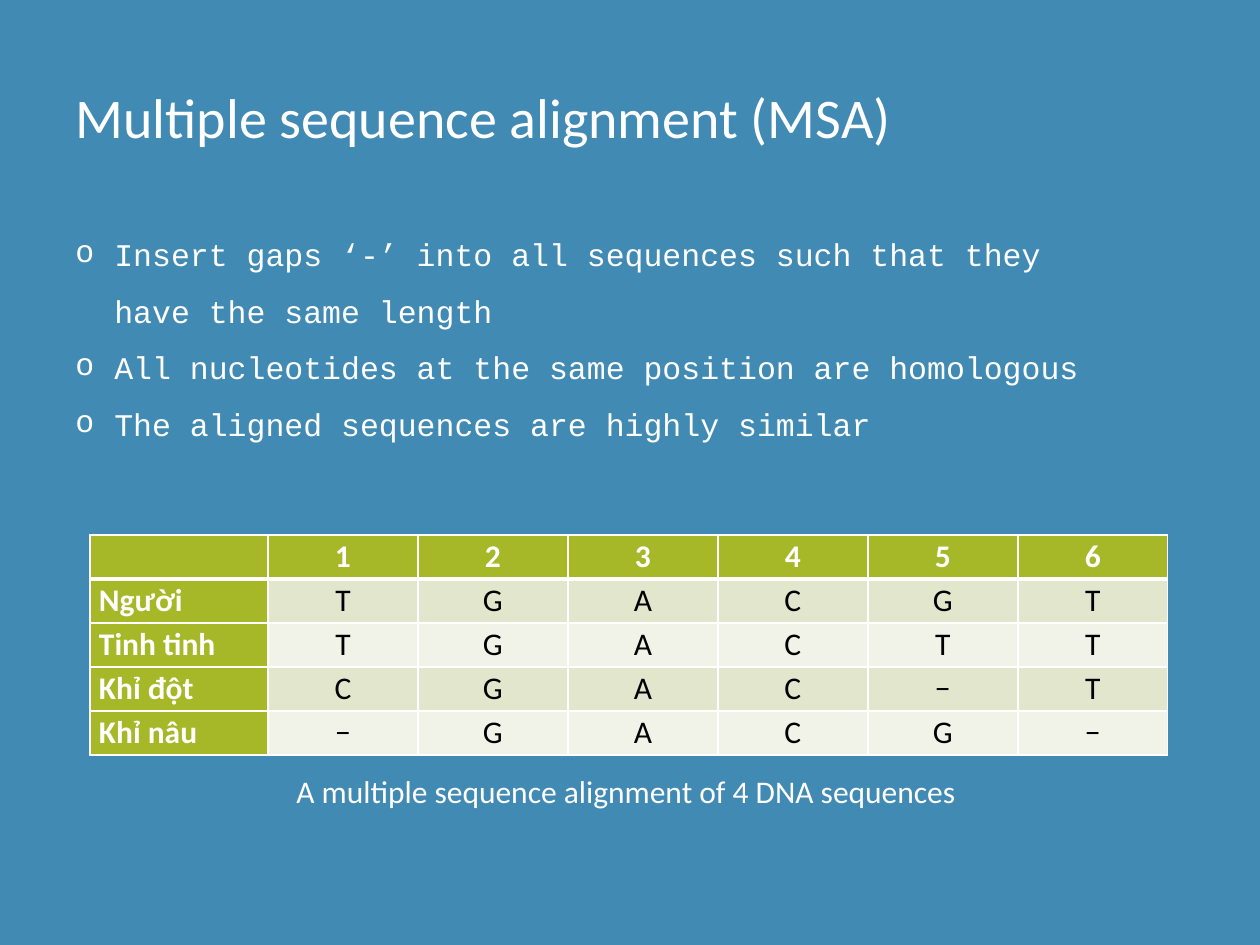
from pptx import Presentation
from pptx.dml.color import RGBColor
from pptx.enum.text import MSO_ANCHOR, PP_ALIGN
from pptx.oxml.ns import qn
from pptx.util import Pt
from lxml.etree import SubElement

EMU_PER_PX = 914400 / 126
BLUE, WHITE, BLACK = "418AB3", "FFFFFF", "000000"
GREEN, BAND_DARK, BAND_LIGHT = "A6B727", "E1E6CD", "F1F3E8"

TITLE = "Multiple sequence alignment (MSA)"
POINTS = [
    "Insert gaps ‘-’ into all sequences such that they have the same length",
    "All nucleotides at the same position are homologous",
    "The aligned sequences are highly similar",
]
ALIGNMENT = [
    ("", "123456"),
    ("Người", "TGACGT"),
    ("Tinh tinh", "TGACTT"),
    ("Khỉ đột", "CGAC−T"),
    ("Khỉ nâu", "−GACG−"),
]
CAPTION = "A multiple sequence alignment of 4 DNA sequences"


def px(length):
    return round(length * EMU_PER_PX)


def color(hex_string):
    return RGBColor.from_string(hex_string)


def style(paragraph, size=18, font="Calibri", ink=WHITE, bold=False):
    for run in paragraph.runs:
        run.font.size = Pt(size)
        run.font.name = font
        run.font.color.rgb = color(ink)
        run.font.bold = bold


def add_title(slide, left, top, width, height):
    title = slide.shapes.title
    title.left, title.top, title.width, title.height = map(px, (left, top, width, height))
    frame = title.text_frame
    frame.text = TITLE
    frame.vertical_anchor = MSO_ANCHOR.TOP
    frame.paragraphs[0].alignment = PP_ALIGN.LEFT
    style(frame.paragraphs[0], size=32)


def add_text(slide, text, left, top, width, height):
    box = slide.shapes.add_textbox(*map(px, (left, top, width, height)))
    box.text_frame.word_wrap = True
    box.text_frame.text = text
    return box.text_frame


def add_points(slide, left, top, width, height):
    frame = add_text(slide, "\n".join(POINTS), left, top, width, height)
    for point in frame.paragraphs:
        style(point, font="Courier New")
        point.line_spacing = 1.5
        # Hanging bullet
        properties = point._p.get_or_add_pPr()
        properties.set("marL", str(px(39)))
        properties.set("indent", str(px(-39)))
        SubElement(properties, qn("a:buFont"), typeface="Courier New")
        SubElement(properties, qn("a:buChar"), char="o")


def add_borders(cell, top_width, bottom_width):
    properties = cell._tc.get_or_add_tcPr()
    for side, width in (("L", 1), ("R", 1), ("T", top_width), ("B", bottom_width)):
        line = SubElement(properties, qn(f"a:ln{side}"), w=str(Pt(width)))
        fill = SubElement(line, qn("a:solidFill"))
        SubElement(fill, qn("a:srgbClr"), val=WHITE)


def add_alignment(slide, left, top, name_width, base_width, row_height):
    rows, columns = len(ALIGNMENT), len(ALIGNMENT[0][1]) + 1
    width = name_width + base_width * (columns - 1)
    table = slide.shapes.add_table(
        rows, columns, px(left), px(top), px(width), px(row_height * rows)).table
    for c, column in enumerate(table.columns):
        column.width = px(base_width if c else name_width)
    for r, (name, bases) in enumerate(ALIGNMENT):
        table.rows[r].height = px(row_height)
        for c, text in enumerate([name, *bases]):
            cell = table.cell(r, c)
            is_heading = r == 0 or c == 0
            # Thick rule between header and body
            add_borders(cell, 3 if r == 1 else 1, 3 if r == 0 else 1)
            cell.fill.solid()
            band = BAND_DARK if r % 2 else BAND_LIGHT
            cell.fill.fore_color.rgb = color(GREEN if is_heading else band)
            cell.margin_left = cell.margin_right = px(9)
            cell.margin_top = cell.margin_bottom = 0
            cell.vertical_anchor = MSO_ANCHOR.MIDDLE
            cell.text_frame.text = text
            paragraph = cell.text_frame.paragraphs[0]
            paragraph.alignment = PP_ALIGN.CENTER if c else PP_ALIGN.JUSTIFY
            style(paragraph, ink=WHITE if is_heading else BLACK, bold=is_heading)


def add_caption(slide, left, top, width, height):
    style(add_text(slide, CAPTION, left, top, width, height).paragraphs[0])


def main():
    deck = Presentation()
    deck.slide_width, deck.slide_height = px(1260), px(945)
    slide = deck.slides.add_slide(deck.slide_layouts[5])
    slide.background.fill.solid()
    slide.background.fill.fore_color.rgb = color(BLUE)

    add_title(slide, 63, 76, 872, 81)
    add_alignment(slide, 90, 535, name_width=178, base_width=150, row_height=44)
    add_points(slide, 63, 210, 1061, 237)
    add_caption(slide, 284, 766, 819, 50)
    deck.save("out.pptx")


if __name__ == "__main__":
    main()
